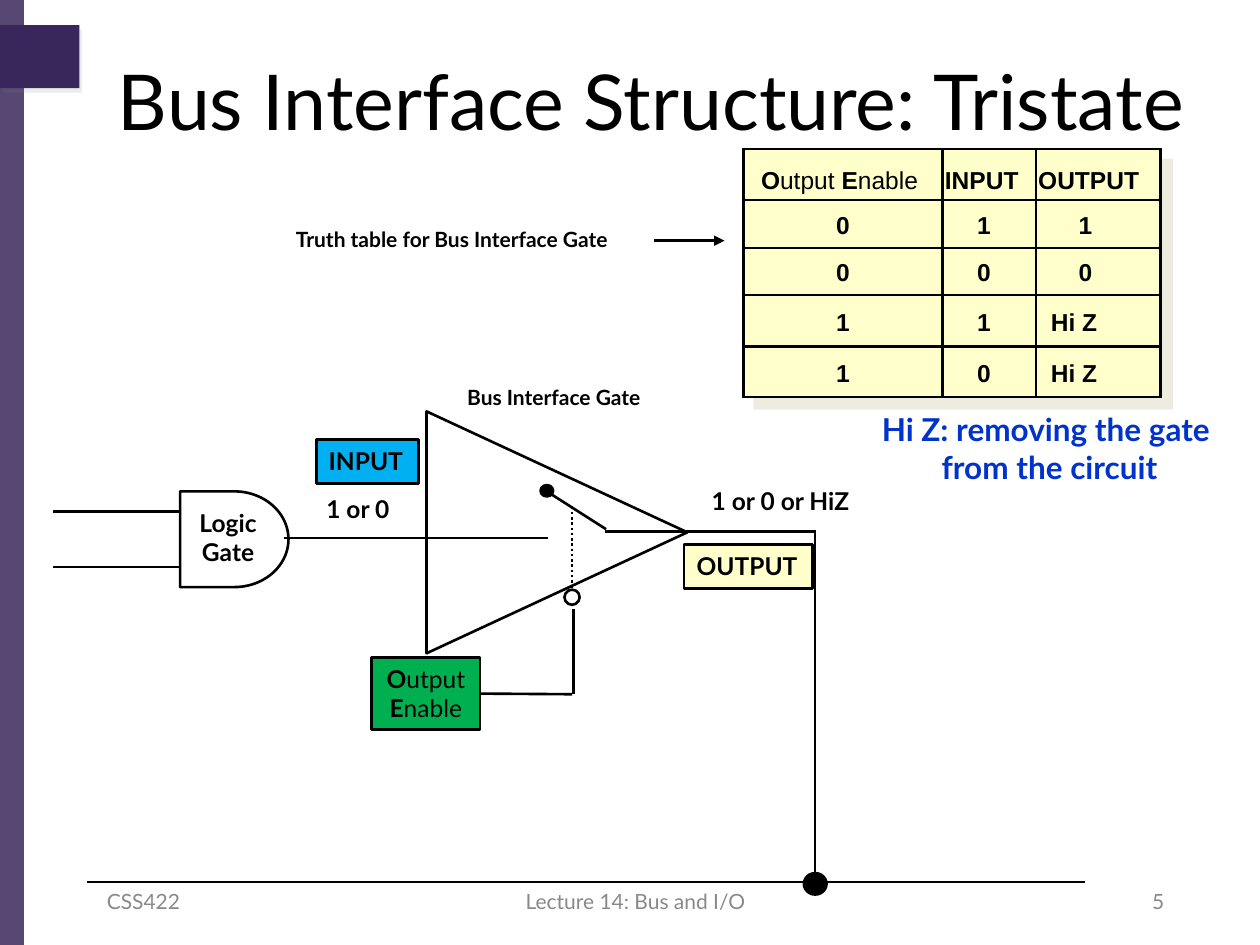
from dataclasses import dataclass

import pptx
import pptx.dml.color
import pptx.enum.dml
import pptx.enum.shapes
import pptx.enum.text
import pptx.oxml
import pptx.oxml.ns
import pptx.util

Inches = pptx.util.Inches
Pt = pptx.util.Pt
RGB = pptx.dml.color.RGBColor.from_string
SHAPE = pptx.enum.shapes.MSO_SHAPE
ALIGN = pptx.enum.text.PP_ALIGN
ANCHOR = pptx.enum.text.MSO_ANCHOR
qn = pptx.oxml.ns.qn
NAMESPACE = pptx.oxml.ns.nsdecls("a")


@dataclass(frozen=True)
class Theme:
    font: str = "Lato"
    table_font: str = "Arial"
    black: str = "000000"
    purple: str = "39275B"
    grey: str = "898989"
    blue: str = "0033CC"
    sky: str = "00B0F0"
    green: str = "00B050"
    cream: str = "FFFFCC"
    shade: str = "EEECE1"
    title: int = 44
    note: int = 18
    label: int = 14
    small: int = 12
    line: float = 1.5


theme = Theme()
deck = pptx.Presentation()
deck.slide_width, deck.slide_height = Inches(10), Inches(7.5)
page = deck.slides.add_slide(deck.slide_layouts[6])


def write(frame, lines, size, color=theme.black, align=ALIGN.CENTER,
          anchor=ANCHOR.MIDDLE, font=theme.font, bold=True):
    """Fill a text frame; asterisks in a line switch bold on and off."""
    frame.vertical_anchor = anchor
    for index, line in enumerate(lines):
        para = frame.paragraphs[0] if index == 0 else frame.add_paragraph()
        para.alignment = align
        pieces = line.split("*")
        for number, piece in enumerate(pieces):
            if piece:
                span = para.add_run()
                span.text = piece
                span.font.name, span.font.size = font, Pt(size)
                span.font.bold = number % 2 == 1 if len(pieces) > 1 else bold
                span.font.color.rgb = RGB(color)


def draw_line(x1, y1, x2, y2):
    wire = page.shapes.add_connector(
        pptx.enum.shapes.MSO_CONNECTOR.STRAIGHT,
        Inches(x1), Inches(y1), Inches(x2), Inches(y2))
    wire.line.color.rgb = RGB(theme.black)
    wire.line.width = Pt(theme.line)
    wire._element.spPr.append(pptx.oxml.parse_xml(f"<a:effectLst {NAMESPACE}/>"))
    return wire


# Shapes: kind, left, top, width, height, fill, outlined
shapes = {}
for name, kind, left, top, width, height, fill, outlined in [
    ("side bar", SHAPE.RECTANGLE, 0, 0, 0.19, 7.5, theme.purple, False),
    ("corner tab", SHAPE.RECTANGLE, 0, 0.2, 0.63, 0.5, theme.purple, False),
    ("logic gate", SHAPE.FLOWCHART_DELAY, 1.43, 3.9, 0.86, 0.76, None, True),
    ("bus gate", SHAPE.ISOSCELES_TRIANGLE, 3.46, 3.19, 1.92, 2.07, None, True),
    ("switch", SHAPE.OVAL, 4.29, 3.85, 0.1, 0.09, theme.black, True),
    ("inverter", SHAPE.OVAL, 4.48, 4.68, 0.12, 0.12, None, True),
    ("bus tap", SHAPE.OVAL, 6.38, 6.93, 0.18, 0.17, theme.black, True),
    ("input", SHAPE.RECTANGLE, 2.51, 3.49, 0.81, 0.35, theme.sky, True),
    ("output", SHAPE.RECTANGLE, 5.43, 4.32, 1.02, 0.35, theme.cream, True),
    ("enable", SHAPE.RECTANGLE, 2.95, 5.22, 0.86, 0.57, theme.green, True),
]:
    shape = page.shapes.add_shape(
        kind, Inches(left), Inches(top), Inches(width), Inches(height))
    shape.shadow.inherit = False
    if fill:
        shape.fill.solid()
        shape.fill.fore_color.rgb = RGB(fill)
    else:
        shape.fill.background()
    if outlined:
        shape.line.color.rgb = RGB(theme.black)
        shape.line.width = Pt(theme.line)
    else:
        shape.line.fill.background()
    shapes[name] = shape

shapes["bus gate"].rotation = 90
bar_color = shapes["side bar"]._element.spPr.find(".//" + qn("a:srgbClr"))
bar_color.append(pptx.oxml.parse_xml(f'<a:alpha {NAMESPACE} val="85000"/>'))
tab_effects = shapes["corner tab"]._element.spPr.find(qn("a:effectLst"))
tab_effects.append(pptx.oxml.parse_xml(
    f'<a:outerShdw {NAMESPACE} dist="{Pt(3)}" dir="3600000">'
    '<a:srgbClr val="808080"><a:alpha val="15000"/></a:srgbClr></a:outerShdw>'))

for name, lines, align in [("input", ["INPUT"], ALIGN.LEFT),
                           ("output", ["OUTPUT"], ALIGN.LEFT),
                           ("enable", ["*O*utput", "*E*nable"], ALIGN.CENTER)]:
    shapes[name].text_frame.word_wrap = name == "enable"
    write(shapes[name].text_frame, lines, theme.label, align=align, anchor=ANCHOR.TOP)

# Wires
for ends in [
    (0.69, 7, 8.61, 7),
    (0.42, 4.06, 1.43, 4.06),
    (0.42, 4.5, 1.43, 4.5),
    (2.25, 4.27, 4.35, 4.27),
    (4.34, 3.9, 4.81, 4.2),
    (4.8, 4.22, 6.48, 4.22),
    (6.47, 4.22, 6.47, 7),
    (4.55, 4.83, 4.55, 5.51),
]:
    draw_line(*ends)
draw_line(4.54, 5.51, 3.81, 5.51).end_connect(shapes["enable"], 3)
control = draw_line(4.54, 4.02, 4.54, 4.67)
control.line.dash_style = pptx.enum.dml.MSO_LINE.ROUND_DOT
pointer = draw_line(5.19, 1.91, 5.75, 1.91)
pointer.line._get_or_add_ln().append(
    pptx.oxml.parse_xml(f'<a:tailEnd {NAMESPACE} type="triangle"/>'))

# Free-standing text: lines, left, top, width, height, size, colour, align, bold, wrap
for lines, left, top, width, height, size, color, align, bold, wrap in [
    (["Bus Interface Structure: Tristate"], 0.67, 0.33, 9, 0.92,
     theme.title, theme.black, ALIGN.CENTER, False, True),
    (["CSS422"], 0.75, 6.95, 2.33, 0.4, theme.small, theme.grey, ALIGN.LEFT, False, True),
    (["Lecture 14: Bus and I/O"], 3.46, 6.95, 3.17, 0.4,
     theme.small, theme.grey, ALIGN.CENTER, False, True),
    (["5"], 7.01, 6.95, 2.33, 0.4, theme.small, theme.grey, ALIGN.RIGHT, False, True),
    (["Logic", "Gate"], 1.45, 3.98, 0.72, 0.57,
     theme.label, theme.black, ALIGN.CENTER, True, False),
    (["1 or 0"], 2.48, 3.87, 0.72, 0.33,
     theme.label, theme.black, ALIGN.CENTER, True, False),
    (["1 or 0 or HiZ"], 5.53, 3.81, 1.33, 0.33,
     theme.label, theme.black, ALIGN.CENTER, True, False),
    (["Bus Interface Gate"], 3.61, 3, 1.67, 0.3,
     theme.small, theme.black, ALIGN.LEFT, True, False),
    (["Truth table for Bus Interface Gate"], 2.25, 1.75, 2.85, 0.3,
     theme.small, theme.black, ALIGN.LEFT, True, False),
    (["Hi Z: removing the gate ", "from the circuit"], 6.79, 3.2, 3.08, 0.71,
     theme.note, theme.blue, ALIGN.CENTER, True, False),
]:
    box = page.shapes.add_textbox(Inches(left), Inches(top), Inches(width), Inches(height))
    box.text_frame.word_wrap = wrap
    write(box.text_frame, lines, size, color, align, bold=bold)

# Truth table with a shaded edge to the right and below
edge = page.shapes.build_freeform(Inches(9.21), Inches(1.26), scale=1.0)
edge.add_line_segments([(Inches(x), Inches(y)) for x, y in [
    (9.31, 1.26), (9.31, 3.25), (5.98, 3.25), (5.98, 3.15), (9.21, 3.15)]])
shade = edge.convert_to_shape()
shade.shadow.inherit = False
shade.fill.solid()
shade.fill.fore_color.rgb = RGB(theme.shade)
shade.line.fill.background()

rows = [
    ["*O*utput *E*nable", "INPUT", "OUTPUT"],
    ["0", "1", "1"],
    ["0", "0", "0"],
    ["1", "1", "Hi Z"],
    ["1", "0", "Hi Z"],
]
column_widths = [1.58, 0.74, 0.99]
row_heights = [0.41, 0.38, 0.37, 0.41, 0.4]
body_margins = [0.02, 0.1, 0.22]
table = page.shapes.add_table(
    len(rows), len(column_widths), Inches(5.9), Inches(1.18),
    Inches(sum(column_widths)), Inches(sum(row_heights))).table
table.horz_banding = False
for column, width in zip(table.columns, column_widths):
    column.width = Inches(width)
for row, height, values in zip(table.rows, row_heights, rows):
    row.height = Inches(height)
    header = values is rows[0]
    for index, (cell, value) in enumerate(zip(row.cells, values)):
        right = 0.4 if value == "Hi Z" else body_margins[index]
        cell.margin_left = Inches(0.14 if header and index == 0 else 0.02)
        cell.margin_right = Inches(0.02 if header else right)
        cell.margin_top = Inches(0.13 if header else 0.05)
        cell.margin_bottom = Inches(0.02)
        write(cell.text_frame, [value], theme.label, font=theme.table_font,
              align=ALIGN.LEFT if header else ALIGN.CENTER)
        cell.vertical_anchor = ANCHOR.MIDDLE
        properties = cell._tc.get_or_add_tcPr()
        for side in ("lnL", "lnR", "lnT", "lnB"):
            properties.append(pptx.oxml.parse_xml(
                f'<a:{side} {NAMESPACE} w="{Pt(theme.line)}"><a:solidFill>'
                f'<a:srgbClr val="{theme.black}"/></a:solidFill></a:{side}>'))
        cell.fill.solid()
        cell.fill.fore_color.rgb = RGB(theme.cream)

deck.save("out.pptx")
